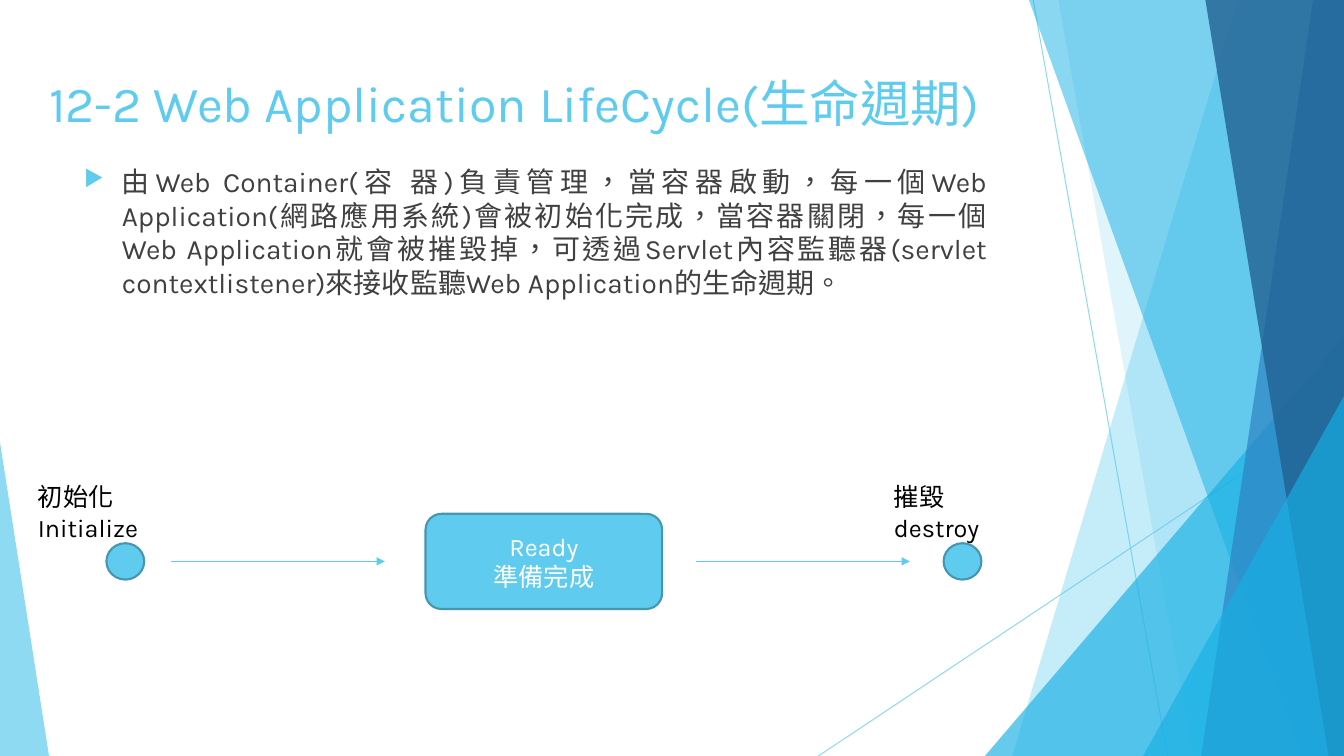
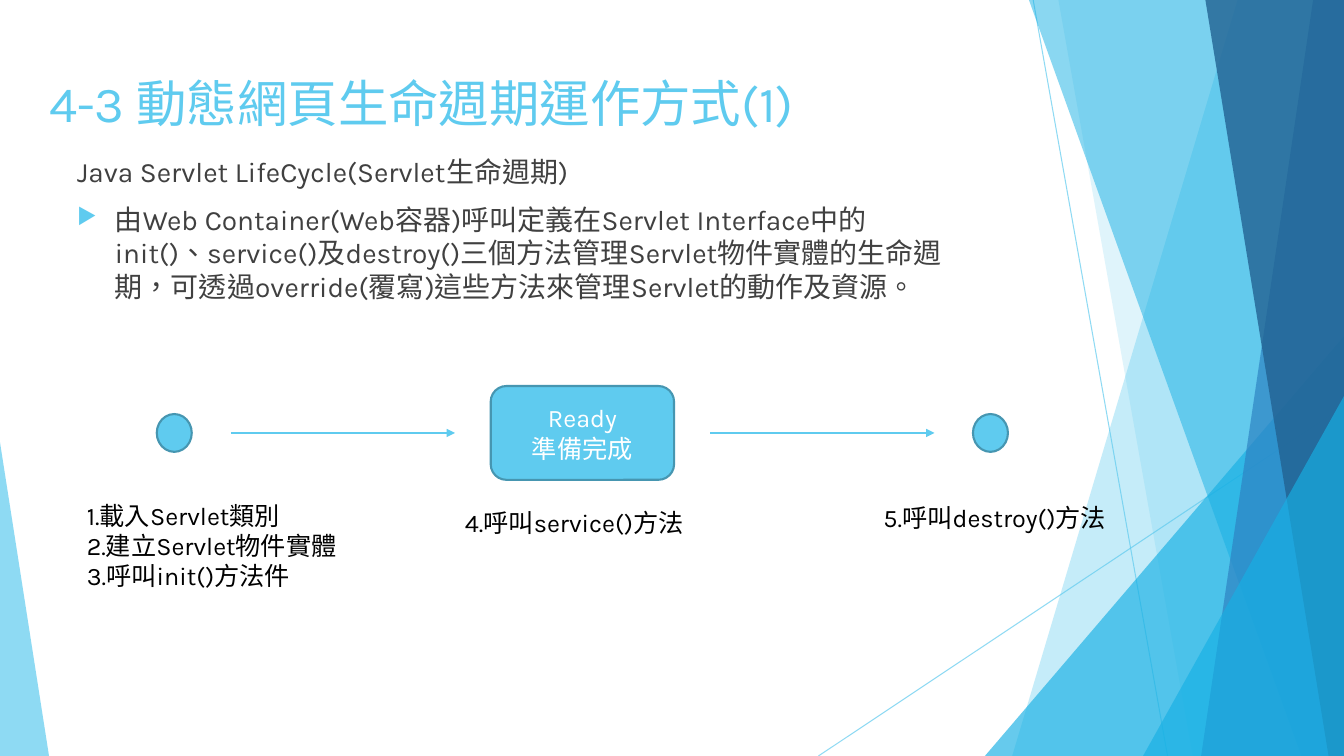
from dataclasses import dataclass

from lxml.etree import SubElement
from pptx import Presentation
from pptx.dml.color import RGBColor
from pptx.enum.lang import MSO_LANGUAGE_ID
from pptx.enum.shapes import MSO_CONNECTOR, MSO_SHAPE
from pptx.enum.text import MSO_ANCHOR, PP_ALIGN
from pptx.oxml.ns import qn
from pptx.util import Pt

WIDTH, HEIGHT = 960, 540
COLORS = {
    "sky": "5FCBEF",
    "cyan": "17B0E4",
    "blue": "2E83C3",
    "navy": "226292",
    "outline": "4696B1",
    "body": "404040",
    "label": "000000",
    "white": "FFFFFF",
}
BASE_FONT = {"name": "Karla", "language_id": MSO_LANGUAGE_ID.TRADITIONAL_CHINESE}
FONTS = {
    "title": {**BASE_FONT, "size": Pt(36)},
    "body": {**BASE_FONT, "size": Pt(20)},
    "label": {**BASE_FONT, "size": Pt(18)},
}
BULLET_INDENT = 27


@dataclass(frozen=True)
class Rule:
    start: tuple[float, float]
    end: tuple[float, float]


@dataclass(frozen=True)
class Panel:
    """A band from a slanted left edge to the right side of the page."""
    top_left: float
    bottom_left: float
    color: str
    opacity: int


@dataclass(frozen=True)
class Wedge:
    """A right triangle standing on the bottom of the page."""
    left: float
    top: float
    width: float
    peak: int
    color: str
    opacity: int


@dataclass(frozen=True)
class Paragraph:
    text: str
    bullet: bool = False
    align: PP_ALIGN = PP_ALIGN.LEFT
    space_before: float = 0


@dataclass(frozen=True)
class TextBlock:
    left: float
    top: float
    width: float
    height: float
    paragraphs: tuple[Paragraph, ...]
    style: str = "label"
    color: str = "label"


@dataclass(frozen=True)
class Flow:
    """Two end circles, a middle box and two arrows centred on one axis."""
    axis: float
    circle_size: tuple[float, float]
    circle_lefts: tuple[float, float]
    box_left: float
    box_size: tuple[float, float]
    arrow_lefts: tuple[float, float]
    arrow_length: float


@dataclass(frozen=True)
class Page:
    blocks: tuple[TextBlock, ...]
    flow: Flow


BACKDROP = (
    Rule((738, 0), (834, HEIGHT)),
    Rule((WIDTH, 290), (584.6, HEIGHT)),
    Panel(884, 723, "sky", 36),
    Panel(756, 852, "sky", 20),
    Wedge(703.5, 240, 256.5, 1, "cyan", 66),
    Panel(735, 929.5, "cyan", 50),
    Panel(938, 858, "blue", 70),
    Panel(861, 949, "navy", 80),
    Wedge(816.5, 283, 143.5, 1, "cyan", 66),
    Wedge(0, 316, 35, 0, "sky", 70),
)


def title(text: str, width: float) -> TextBlock:
    return TextBlock(28, 48, width, 104, (Paragraph(text),), "title", "sky")


def label(left: float, top: float, width: float, *lines: str) -> TextBlock:
    return TextBlock(left, top, width, 29, tuple(Paragraph(line) for line in lines))


PAGES = (
    Page(
        (
            title("12-2 Web Application LifeCycle(生命週期)", 855),
            TextBlock(53, 114, 659, 379, (
                Paragraph(
                    "由Web Container(容 器)負責管理，當容器啟動，每一個Web "
                    "Application(網路應用系統)會被初始化完成，當容器關閉，每一個"
                    "Web Application就會被摧毀掉，可透過Servlet內容監聽器"
                    "(servlet contextlistener)來接收監聽Web Application的生命週期。",
                    True, PP_ALIGN.JUSTIFY, 10),
            ), "body", "body"),
            label(20, 340.5, 140, "初始化\vInitialize"),
            label(631.5, 340.5, 111, "摧毀\vdestroy"),
        ),
        Flow(401, (27, 26), (76, 674), 304, (169, 68), (122, 497), 153),
    ),
    Page(
        (
            title("4-3 動態網頁生命週期運作方式(1)", 733),
            TextBlock(48, 107, 636.5, 402, (
                Paragraph("Java Servlet LifeCycle(Servlet生命週期)", space_before=10),
                Paragraph(
                    "由Web Container(Web容器)呼叫定義在Servlet Interface中的"
                    "init()、service()及destroy()三個方法管理Servlet物件實體的"
                    "生命週期，可透過override(覆寫)這些方法來管理Servlet的動作及資源。",
                    True, space_before=10),
            ), "body", "body"),
            label(624, 355, 232.5, "5.呼叫destroy()方法"),
            label(55, 353.5, 232.5, "1.載入Servlet類別", "2.建立Servlet物件實體",
                  "3.呼叫init()方法件"),
            label(325, 358.5, 232.5, "4.呼叫service()方法"),
        ),
        Flow(309.25, (25, 27), (112, 695), 350.5, (131, 67), (165, 507.5), 160),
    ),
)


def rgb(color: str) -> RGBColor:
    return RGBColor.from_string(COLORS[color])


def set_opacity(fill_owner, percent: int) -> None:
    """Add an alpha value to the first solid colour below an element."""
    color = next(fill_owner.iter(qn("a:srgbClr")))
    SubElement(color, qn("a:alpha"), val=str(percent * 1000))


def fill_shape(shape, color: str) -> None:
    shape.shadow.inherit = False
    shape.fill.solid()
    shape.fill.fore_color.rgb = rgb(color)


def add_line(shapes, start: tuple[float, float], end: tuple[float, float], weight: float):
    line = shapes.add_connector(MSO_CONNECTOR.STRAIGHT, *map(Pt, start + end))
    line.line.color.rgb = rgb("sky")
    line.line.width = Pt(weight)
    SubElement(line.element.spPr, qn("a:effectLst"))
    return line


def add_facet(shapes, facet: Panel | Wedge) -> None:
    if isinstance(facet, Panel):
        builder = shapes.build_freeform(Pt(facet.top_left), 0)
        corners = ((WIDTH, 0), (WIDTH, HEIGHT), (facet.bottom_left, HEIGHT))
        builder.add_line_segments([(Pt(x), Pt(y)) for x, y in corners])
        shape = builder.convert_to_shape()
    else:
        shape = shapes.add_shape(
            MSO_SHAPE.ISOSCELES_TRIANGLE, Pt(facet.left), Pt(facet.top),
            Pt(facet.width), Pt(HEIGHT - facet.top))
        shape.adjustments[0] = facet.peak
    fill_shape(shape, facet.color)
    shape.line.fill.background()
    set_opacity(shape.element.spPr, facet.opacity)


def add_backdrop(page, layout) -> None:
    """Draw the facets as one group and hand it to the shared layout."""
    for placeholder in list(layout.placeholders):
        layout.shapes.element.remove(placeholder.element)
    group = page.shapes.add_group_shape()
    for part in BACKDROP:
        if isinstance(part, Rule):
            line = add_line(group.shapes, part.start, part.end, 0.75)
            set_opacity(line.element.spPr, 70)
        else:
            add_facet(group.shapes, part)
    layout.shapes.element.append(group.element)


def add_bullet(para) -> None:
    properties = para._p.get_or_add_pPr()
    properties.set("marL", str(Pt(BULLET_INDENT)))
    properties.set("indent", str(-Pt(BULLET_INDENT)))
    bullet_color = SubElement(properties, qn("a:buClr"))
    SubElement(bullet_color, qn("a:srgbClr"), val=COLORS["sky"])
    SubElement(properties, qn("a:buSzPct"), val="80000")
    SubElement(properties, qn("a:buChar"), char="▶")


def write(frame, paragraphs: tuple[Paragraph, ...], style: str, color: str) -> None:
    frame.word_wrap = True
    for index, content in enumerate(paragraphs):
        para = frame.add_paragraph() if index else frame.paragraphs[0]
        para.text = content.text
        para.alignment = content.align
        para.space_before = Pt(content.space_before)
        if content.bullet:
            add_bullet(para)
        for span in para.runs:
            for attribute, value in FONTS[style].items():
                setattr(span.font, attribute, value)
            span.font.color.rgb = rgb(color)


def add_text(page, block: TextBlock) -> None:
    box = page.shapes.add_textbox(
        Pt(block.left), Pt(block.top), Pt(block.width), Pt(block.height))
    write(box.text_frame, block.paragraphs, block.style, block.color)


def add_node(page, kind: MSO_SHAPE, left: float, axis: float, size: tuple[float, float]):
    width, height = size
    node = page.shapes.add_shape(
        kind, Pt(left), Pt(axis - height / 2), Pt(width), Pt(height))
    fill_shape(node, "sky")
    node.line.color.rgb = rgb("outline")
    node.line.width = Pt(1.5)
    return node


def add_flow(page, flow: Flow) -> None:
    for left in flow.circle_lefts:
        add_node(page, MSO_SHAPE.OVAL, left, flow.axis, flow.circle_size)
    ready = add_node(
        page, MSO_SHAPE.ROUNDED_RECTANGLE, flow.box_left, flow.axis, flow.box_size)
    ready.text_frame.vertical_anchor = MSO_ANCHOR.MIDDLE
    lines = tuple(Paragraph(text, align=PP_ALIGN.CENTER) for text in ("Ready", "準備完成"))
    write(ready.text_frame, lines, "label", "white")
    for left in flow.arrow_lefts:
        arrow = add_line(
            page.shapes, (left, flow.axis), (left + flow.arrow_length, flow.axis), 1)
        SubElement(arrow.element.spPr.find(qn("a:ln")), qn("a:tailEnd"), type="triangle")


def main() -> None:
    deck = Presentation()
    deck.slide_width, deck.slide_height = Pt(WIDTH), Pt(HEIGHT)
    layout = deck.slide_layouts[6]
    for index, content in enumerate(PAGES):
        page = deck.slides.add_slide(layout)
        if index == 0:
            add_backdrop(page, layout)
        for block in content.blocks:
            add_text(page, block)
        add_flow(page, content.flow)
    deck.save("out.pptx")


if __name__ == "__main__":
    main()
